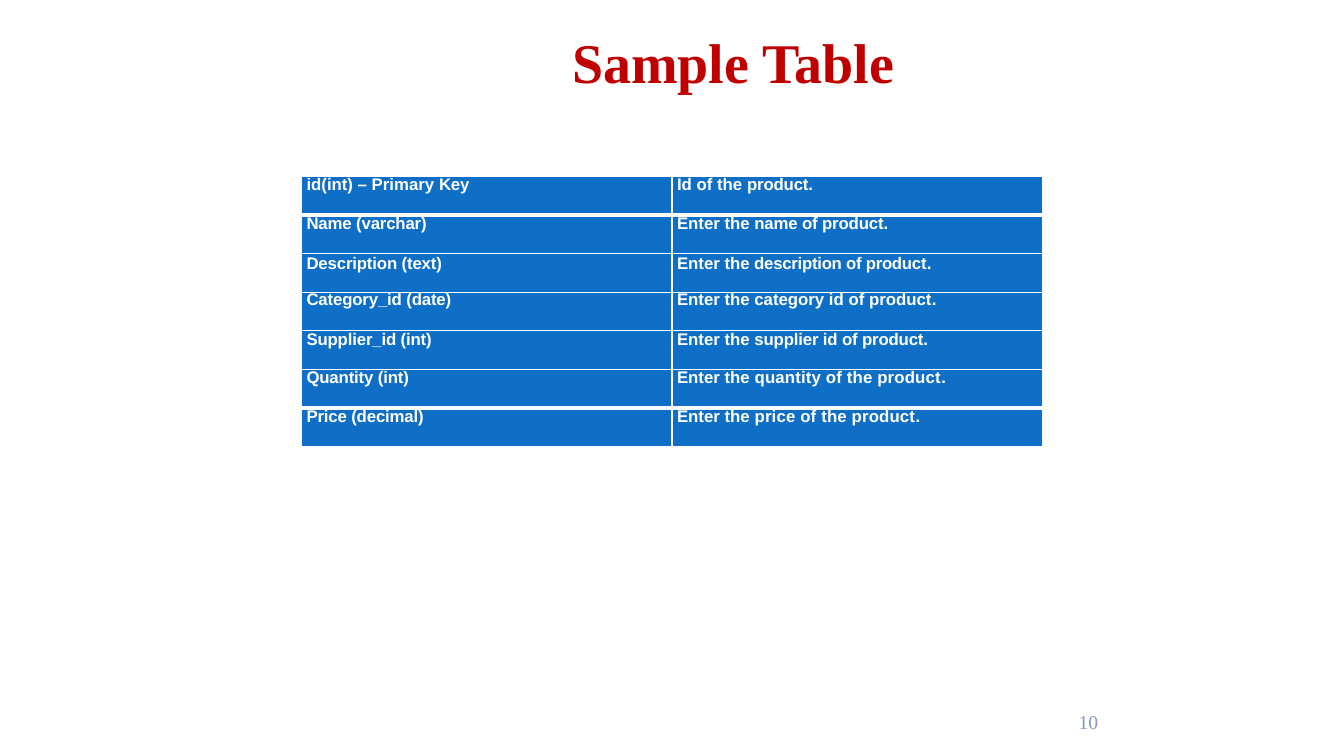
import pptx
import pptx.dml.color
import pptx.enum.text
import pptx.oxml
import pptx.oxml.ns
import pptx.util

SLIDE_WIDTH, SLIDE_HEIGHT = 13.33, 7.5
WHITE, BLUE, RED, PALE_BLUE = "FFFFFF", "0F6FC6", "C00000", "8898C3"
ALIGN = pptx.enum.text.PP_ALIGN
ANCHOR = pptx.enum.text.MSO_ANCHOR

# Each row: line spacing in points, then the runs of both cells
# as (text, letter spacing in points)
FIELDS = [
    (12.7, [("id(int) – Primary ", 0), ("Key", -0.2)],
     [("Id of the ", 0), ("product.", -0.1)]),
    (12.7, [("Name (varchar)", -0.1)],
     [("Enter the", 0), (" name of product.", -0.1)]),
    (13.7, [("Description (text)", -0.1)],
     [("Enter the", 0), (" description of product", -0.2), (".", -0.1)]),
    (12.4, [("Category_id (date)", -0.1)],
     [("Enter the category id of product", 0), (".", -0.1)]),
    (13.4, [("Supplier_id (int)", -0.1)],
     [("Enter the", 0), (" supplier id of product.", -0.1)]),
    (12.4, [("Quantity (int)", -0.1)],
     [("Enter the", 0), (" quantity of the product", 0.1), (".", -0.1)]),
    (12.7, [("Price (decimal)", -0.1)],
     [("Enter the", 0), (" price of the product", 0.1), (".", -0.1)]),
]


def color(value):
    return pptx.dml.color.RGBColor.from_string(value)


def add_run(paragraph, text, font="Arial", size=12, fill=WHITE, bold=False, spacing=0):
    run = paragraph.add_run()
    run.text = text
    run.font.name = font
    run.font.size = pptx.util.Pt(size)
    run.font.bold = bold
    run.font.color.rgb = color(fill)
    if spacing:
        run.font._element.set("spc", str(round(spacing * 100)))


def add_label(slide, box, text, anchor=ANCHOR.TOP, **text_format):
    shape = slide.shapes.add_textbox(*map(pptx.util.Inches, box))
    frame = shape.text_frame
    frame.word_wrap = True
    frame.vertical_anchor = anchor
    paragraph = frame.paragraphs[0]
    paragraph.alignment = ALIGN.CENTER
    add_run(paragraph, text, font="Times New Roman", **text_format)


def set_borders(cell, top=1, bottom=1):
    properties = cell._tc.get_or_add_tcPr()
    widths = {"lnL": 1, "lnR": 1, "lnT": top, "lnB": bottom}
    for position, (side, width) in enumerate(widths.items()):
        properties.insert(position, pptx.oxml.parse_xml(
            f'<a:{side} {pptx.oxml.ns.nsdecls("a")} w="{pptx.util.Pt(width)}">'
            f'<a:solidFill><a:srgbClr val="{WHITE}"/></a:solidFill></a:{side}>'))


def fill_cell(cell, runs, line_spacing):
    cell.margin_left = cell.margin_right = cell.margin_top = cell.margin_bottom = 0
    cell.fill.solid()
    cell.fill.fore_color.rgb = color(BLUE)
    paragraph = cell.text_frame.paragraphs[0]
    paragraph.line_spacing = pptx.util.Pt(line_spacing)
    paragraph._p.get_or_add_pPr().set("marL", str(pptx.util.Inches(0.05)))
    for text, spacing in runs:
        add_run(paragraph, text, bold=True, spacing=spacing)


def add_field_table(slide, box):
    last = len(FIELDS) - 1
    table = slide.shapes.add_table(len(FIELDS), 2, *map(pptx.util.Inches, box)).table
    table.first_row = table.horz_banding = False
    for index, (line_spacing, *columns) in enumerate(FIELDS):
        for column, runs in enumerate(columns):
            cell = table.cell(index, column)
            fill_cell(cell, runs, line_spacing)
            # Heavier rules set off the first and last rows
            set_borders(cell, top=3 if index == last else 1,
                        bottom=3 if index == 0 else 1)


def build_table_slide(presentation):
    slide = presentation.slides.add_slide(presentation.slide_layouts[6])
    left = 2.99
    # Title
    add_label(slide, (left, 0.22, 8.56, 0.77), "Sample Table",
              size=40, fill=RED, bold=True)
    # Field descriptions
    add_field_table(slide, (left, 1.75, 7.35, 2.68))
    # Page number
    add_label(slide, (10.42, 6.98, 0.75, 0.35), "10", anchor=ANCHOR.BOTTOM,
              size=14, fill=PALE_BLUE)


def main():
    presentation = pptx.Presentation()
    presentation.slide_width = pptx.util.Inches(SLIDE_WIDTH)
    presentation.slide_height = pptx.util.Inches(SLIDE_HEIGHT)
    build_table_slide(presentation)
    presentation.save("out.pptx")


if __name__ == "__main__":
    main()
